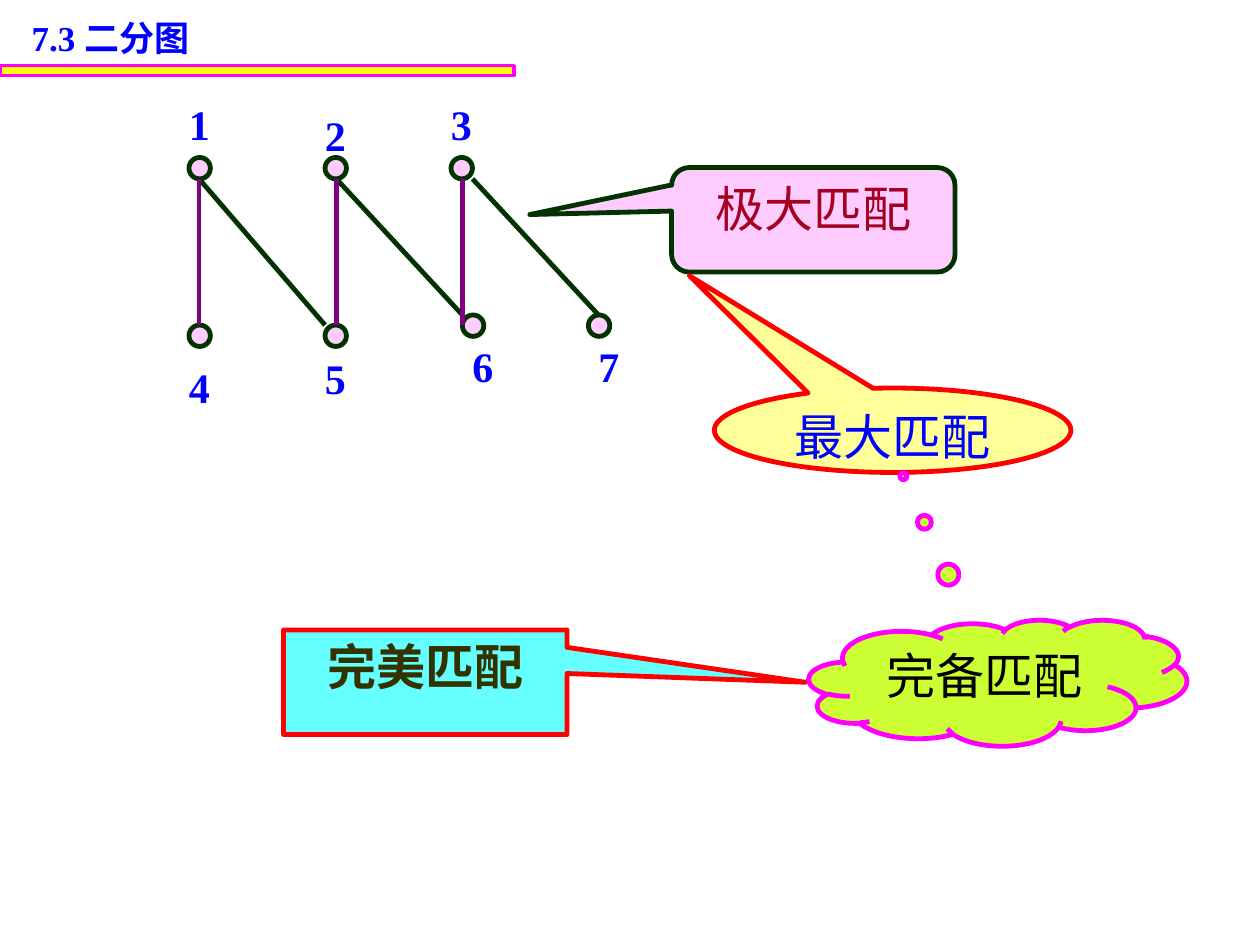
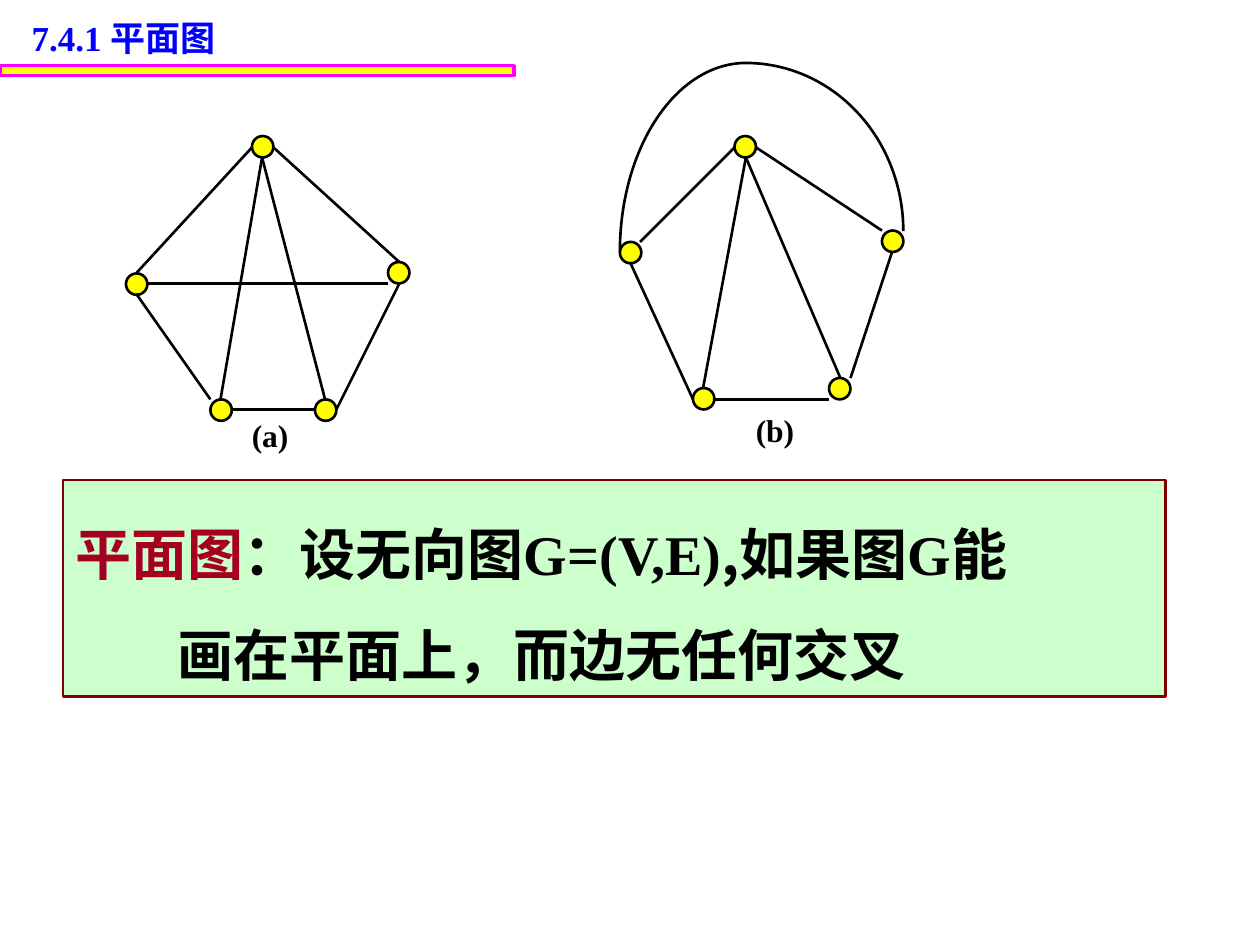
"""Build two graph theory slides: matchings in a bipartite graph, and planar graphs."""
from lxml import etree
from pptx import Presentation
from pptx.dml.color import RGBColor
from pptx.enum.shapes import MSO_CONNECTOR, MSO_SHAPE
from pptx.enum.text import MSO_ANCHOR, MSO_AUTO_SIZE, PP_ALIGN
from pptx.oxml.ns import qn
from pptx.util import Inches, Pt

STRAIGHT = MSO_CONNECTOR.STRAIGHT
OVAL, RECT, ARC = MSO_SHAPE.OVAL, MSO_SHAPE.RECTANGLE, MSO_SHAPE.ARC
ROUND_CALLOUT = MSO_SHAPE.ROUNDED_RECTANGULAR_CALLOUT
OVAL_CALLOUT = MSO_SHAPE.OVAL_CALLOUT
CLOUD_CALLOUT = MSO_SHAPE.CLOUD_CALLOUT
RECT_CALLOUT = MSO_SHAPE.RECTANGULAR_CALLOUT
LEFT, CENTER = PP_ALIGN.LEFT, PP_ALIGN.CENTER
TOP = MSO_ANCHOR.TOP
FIT_SHAPE, NO_FIT = MSO_AUTO_SIZE.SHAPE_TO_FIT_TEXT, MSO_AUTO_SIZE.NONE

SERIF, SANS, CJK = "Times New Roman", "Arial", "Noto Sans CJK SC"
COLORS = {
    "blue": "0000FF", "yellow": "FFFF00", "magenta": "FF00FF", "pink": "FFCCFF",
    "forest": "003300", "purple": "800080", "crimson": "A50021", "cream": "FFFF99",
    "red": "FF0000", "lime": "CCFF33", "black": "000000", "cyan": "66FFFF",
    "olive": "333300", "mint": "CCFFCC", "maroon": "800000",
}
NODE_SIZE = 0.17

MATCHING_TITLE = "7.3 二分图"
MATCHING_NODES = [
    (1.5, 1.25), (2.58, 1.25), (3.58, 1.25),
    (1.5, 2.58), (2.58, 2.58), (3.67, 2.5), (4.67, 2.5),
]
MATCHED_EDGES = [(x, 1.42, x, 2.58) for x in (1.58, 2.67, 3.67)]
OTHER_EDGES = [
    (1.58, 1.42, 2.58, 2.58), (2.67, 1.42, 3.67, 2.5), (3.75, 1.42, 4.75, 2.5),
]
NODE_LABELS = [
    ("1", 1.4, 0.73), ("2", 2.48, 0.82), ("3", 3.48, 0.73), ("4", 1.4, 2.82),
    ("5", 2.48, 2.75), ("6", 3.65, 2.65), ("7", 4.65, 2.65),
]
CALLOUTS = [
    ("极大匹配", ROUND_CALLOUT, (5.33, 1.33, 2.25, 0.83), (-1, -0.05, 0.17),
     "pink", "forest", "crimson", False),
    ("最大匹配", OVAL_CALLOUT, (5.67, 3.08, 2.83, 0.67), (-0.57, -1.83),
     "cream", "red", "blue", False),
    ("完备匹配", CLOUD_CALLOUT, (6.42, 4.92, 3, 1), (-0.25, -1.64),
     "lime", "magenta", "black", False),
    ("完美匹配", RECT_CALLOUT, (2.25, 5, 2.25, 0.83), (1.34, 0),
     "cyan", "red", "olive", True),
]

PLANAR_TITLE = "7.4.1 平面图"
CROSSING_GRAPH = {
    "nodes": [(2, 1.08), (1, 2.17), (1.67, 3.17), (2.5, 3.17), (3.08, 2.08)],
    "edges": [
        (1.08, 2.17, 2, 1.17), (1.08, 2.33, 1.67, 3.17), (1.17, 2.25, 3.08, 2.25),
        (1.83, 3.25, 2.5, 3.25), (2.67, 3.25, 3.17, 2.25), (2.17, 1.17, 3.17, 2.08),
        (2.08, 1.25, 1.75, 3.17), (2.08, 1.25, 2.58, 3.17),
    ],
    "arcs": [],
    "caption": ("(a)", 1.9, 3.25),
}
PLANE_GRAPH = {
    "nodes": [(5.83, 1.08), (4.92, 1.92), (5.5, 3.08), (6.58, 3), (7, 1.83)],
    "edges": [
        (5.08, 1.92, 5.83, 1.17), (5, 2.08, 5.5, 3.17), (5.67, 3.17, 6.58, 3.17),
        (6.75, 3, 7.08, 2), (6, 1.17, 7, 1.83), (5.92, 1.25, 5.58, 3.08),
        (5.92, 1.25, 6.67, 3),
    ],
    "arcs": [((4.67, 0.5, 2.5, 2.67), (-90, 0)), ((4.92, 0.5, 2, 3), (180, -90))],
    "caption": ("(b)", 5.9, 3.21),
}
DEFINITION = [
    [("平面图", CJK, "crimson"), ("：设无向图", CJK, "black"),
     ("G=(V,E)", SERIF, "black"), (",如果图", CJK, "black"),
     ("G", SERIF, "black"), ("能", CJK, "black")],
    [("画在平面上，而边无任何交叉", CJK, "black")],
]
DEFINITION_INDENTS = [0, 0.81]


def rgb(color):
    return RGBColor.from_string(COLORS[color])


def add_run(paragraph, text, size, font, color, bold=True):
    run = paragraph.add_run()
    run.text = text
    run.font.size = Pt(size)
    run.font.bold = bold
    run.font.color.rgb = rgb(color)
    run.font.name = font
    etree.SubElement(run.font._element, qn("a:ea")).set("typeface", CJK)


def set_line(shape, color, width):
    shape.line.color.rgb = rgb(color)
    shape.line.width = Pt(width)


def add_figure(shapes, kind, box, fill, line, width):
    figure = shapes.add_shape(kind, *map(Inches, box))
    figure.shadow.inherit = False
    if fill:
        figure.fill.solid()
        figure.fill.fore_color.rgb = rgb(fill)
    else:
        figure.fill.background()
    set_line(figure, line, width)
    return figure


def add_edges(shapes, edges, color, width):
    for edge in edges:
        connector = shapes.add_connector(STRAIGHT, *map(Inches, edge))
        set_line(connector, color, width)
        etree.SubElement(connector._element.spPr, qn("a:effectLst"))


def add_nodes(shapes, nodes, fill, line, width):
    for left, top in nodes:
        add_figure(shapes, OVAL, (left, top, NODE_SIZE, NODE_SIZE), fill, line, width)


def add_label(shapes, label, width, height, size, color):
    text, left, top = label
    frame = shapes.add_textbox(*map(Inches, (left, top, width, height))).text_frame
    frame.word_wrap = False
    frame.auto_size = FIT_SHAPE
    add_run(frame.paragraphs[0], text, size, SERIF, color)


def add_titled_slide(deck, heading):
    slide = deck.slides.add_slide(deck.slide_layouts[5])
    title = slide.shapes.title
    title.left, title.top, title.width, title.height = map(
        Inches, (0.15, 0.08, 2.68, 0.43))
    frame = title.text_frame
    frame.auto_size = NO_FIT
    frame.vertical_anchor = TOP
    frame.paragraphs[0].alignment = LEFT
    add_run(frame.paragraphs[0], heading, 20, SERIF, "blue")
    add_figure(slide.shapes, RECT, (0, 0.52, 4.08, 0.08), "yellow", "magenta", 1.75)
    return slide.shapes


def add_callout(shapes, text, kind, box, pointer, fill, line, color, bold):
    callout = add_figure(shapes, kind, box, fill, line, 2.75)
    for index, value in enumerate(pointer):
        callout.adjustments[index] = value
    frame = callout.text_frame
    frame.word_wrap = True
    frame.vertical_anchor = TOP
    frame.paragraphs[0].alignment = CENTER
    add_run(frame.paragraphs[0], text, 28, SANS, color, bold)


def add_graph(shapes, graph):
    add_nodes(shapes, graph["nodes"], "yellow", "black", 1.5)
    add_edges(shapes, graph["edges"], "black", 1.5)
    add_label(shapes, graph["caption"], 0.54, 0.4, 18, "black")
    for box, angles in graph["arcs"]:
        arc = add_figure(shapes, ARC, box, None, "black", 1.5)
        for index, degrees in enumerate(angles):
            arc.adjustments[index] = degrees % 360 * 0.6


def add_definition(shapes):
    panel = add_figure(shapes, RECT, (0.5, 3.81, 8.75, 1.72), "mint", "maroon", 1.5)
    frame = panel.text_frame
    frame.word_wrap = True
    frame.auto_size = FIT_SHAPE
    frame.vertical_anchor = TOP
    for index, (runs, indent) in enumerate(zip(DEFINITION, DEFINITION_INDENTS)):
        paragraph = frame.add_paragraph() if index else frame.paragraphs[0]
        paragraph.alignment = LEFT
        paragraph.line_spacing = 1.5
        paragraph._p.get_or_add_pPr().set("marL", str(Inches(indent)))
        for text, font, color in runs:
            add_run(paragraph, text, 32, font, color)


def build_matching_slide(deck):
    shapes = add_titled_slide(deck, MATCHING_TITLE)
    add_nodes(shapes, MATCHING_NODES, "pink", "forest", 2.75)
    add_edges(shapes, OTHER_EDGES, "forest", 2.75)
    add_edges(shapes, MATCHED_EDGES, "purple", 2.75)
    for label in NODE_LABELS:
        add_label(shapes, label, 0.36, 0.5, 24, "blue")
    for callout in CALLOUTS:
        add_callout(shapes, *callout)


def build_planar_slide(deck):
    shapes = add_titled_slide(deck, PLANAR_TITLE)
    add_graph(shapes, CROSSING_GRAPH)
    add_definition(shapes)
    add_graph(shapes, PLANE_GRAPH)


def main():
    deck = Presentation()
    deck.slide_width, deck.slide_height = Inches(10), Inches(7.5)
    build_matching_slide(deck)
    build_planar_slide(deck)
    deck.save("out.pptx")


if __name__ == "__main__":
    main()
